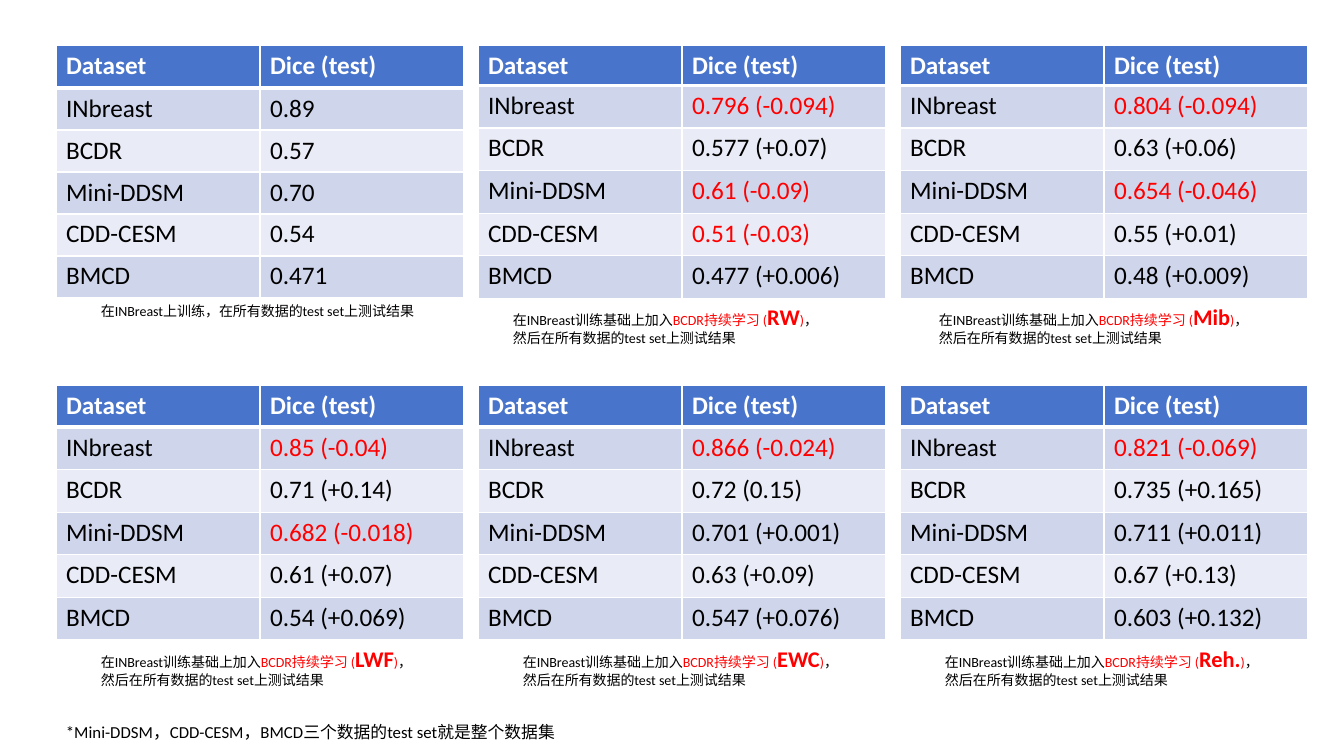
from lxml.etree import SubElement
from pptx import Presentation
from pptx.dml.color import RGBColor
from pptx.enum.text import MSO_AUTO_SIZE as AutoSize
from pptx.oxml.ns import qn
from pptx.util import Emu, Pt

BLUE = RGBColor(0x48, 0x74, 0xCB)
DARK_BAND = RGBColor(0xCF, 0xD6, 0xEC)
LIGHT_BAND = RGBColor(0xE9, 0xEB, 0xF6)
WHITE = RGBColor(0xFF, 0xFF, 0xFF)
BLACK = RGBColor(0x00, 0x00, 0x00)
RED = RGBColor(0xFF, 0x00, 0x00)

LEFT, COLUMN_STEP = 56, 422
TOP, ROW_STEP = 45, 340
CELL_WIDTH = 204
CAPTION_WIDTH = 338
DATASETS = ["INbreast", "BCDR", "Mini-DDSM", "CDD-CESM", "BMCD"]
TABLE_HEIGHTS = [253, 255]

RESULTS = [
    [
        (None, 43, 91, ["0.89", "0.57", "0.70", "0.54", "0.471"]),
        ("RW", 40, 503, ["0.796 (-0.094)", "0.577 (+0.07)", "0.61 (-0.09)",
                         "0.51 (-0.03)", "0.477 (+0.006)"]),
        ("Mib", 40, 929, ["0.804 (-0.094)", "0.63 (+0.06)", "0.654 (-0.046)",
                          "0.55 (+0.01)", "0.48 (+0.009)"]),
    ],
    [
        ("LWF", 42, 91, ["0.85 (-0.04)", "0.71 (+0.14)", "0.682 (-0.018)",
                         "0.61 (+0.07)", "0.54 (+0.069)"]),
        ("EWC", 42, 513, ["0.866 (-0.024)", "0.72 (0.15)", "0.701 (+0.001)",
                          "0.63 (+0.09)", "0.547 (+0.076)"]),
        ("Reh.", 42, 935, ["0.821 (-0.069)", "0.735 (+0.165)", "0.711 (+0.011)",
                           "0.67 (+0.13)", "0.603 (+0.132)"]),
    ],
]


def px(length):
    return Emu(round(length * 914400 / 100.8))


def add_run(paragraph, text, size=10, color=BLACK, bold=False):
    run = paragraph.add_run()
    run.text = text
    run.font.name = "Calibri"
    run.font.size = Pt(size)
    run.font.bold = bold
    run.font.color.rgb = color


def add_borders(cell, row):
    properties = cell._tc.get_or_add_tcPr()
    widths = {"lnL": 1, "lnR": 1, "lnT": 3 if row == 1 else 1, "lnB": 3 if row == 0 else 1}
    for side, width in widths.items():
        line = SubElement(properties, qn(f"a:{side}"), w=str(Pt(width)))
        fill = SubElement(line, qn("a:solidFill"))
        SubElement(fill, qn("a:srgbClr"), val=str(WHITE))


def fill_cell(cell, row, text):
    add_borders(cell, row)
    cell.fill.solid()
    cell.fill.fore_color.rgb = BLUE if row == 0 else DARK_BAND if row % 2 else LIGHT_BAND
    color = WHITE if row == 0 else RED if "(-" in text else BLACK
    add_run(cell.text_frame.paragraphs[0], text, size=18, color=color, bold=row == 0)


def add_score_table(slide, left, top, height, header_height, scores):
    lines = [("Dataset", "Dice (test)"), *zip(DATASETS, scores)]
    table = slide.shapes.add_table(
        len(lines), 2, px(left), px(top), px(2 * CELL_WIDTH), px(height)).table
    for column in table.columns:
        column.width = px(CELL_WIDTH)
    for row, line in enumerate(lines):
        body_height = (height - header_height) / len(DATASETS)
        table.rows[row].height = px(body_height if row else header_height)
        for column, text in enumerate(line):
            fill_cell(table.cell(row, column), row, text)


def add_text_area(slide, left, top, width, height):
    frame = slide.shapes.add_textbox(px(left), px(top), px(width), px(height)).text_frame
    frame.word_wrap = True
    frame.auto_size = AutoSize.SHAPE_TO_FIT_TEXT
    return frame.paragraphs[0]


def add_caption(slide, left, top, method):
    caption = add_text_area(slide, left, top, CAPTION_WIDTH, 54 if method else 27)
    if method is None:
        add_run(caption, "在INBreast上训练，在所有数据的test set上测试结果")
        return
    add_run(caption, "在INBreast训练基础上加入")
    add_run(caption, "BCDR持续学习 (", color=RED)
    add_run(caption, method, size=16, color=RED, bold=True)
    add_run(caption, ")", color=RED)
    add_run(caption, "，然后在所有数据的test set上测试结果")


def main():
    deck = Presentation()
    deck.slide_width, deck.slide_height = px(1344), px(756)
    slide = deck.slides.add_slide(deck.slide_layouts[6])
    for band, (results, height) in enumerate(zip(RESULTS, TABLE_HEIGHTS)):
        top = TOP + band * ROW_STEP
        for column, (method, header_height, caption_left, scores) in enumerate(results):
            left = LEFT + column * COLUMN_STEP
            add_score_table(slide, left, top, height, header_height, scores)
            add_caption(slide, caption_left, top + height, method)
    footnote = add_text_area(slide, LEFT, 717, 765, 30)
    add_run(footnote, "*Mini-DDSM，CDD-CESM，BMCD三个数据的test set就是整个数据集", size=12)
    deck.save("out.pptx")


if __name__ == "__main__":
    main()
